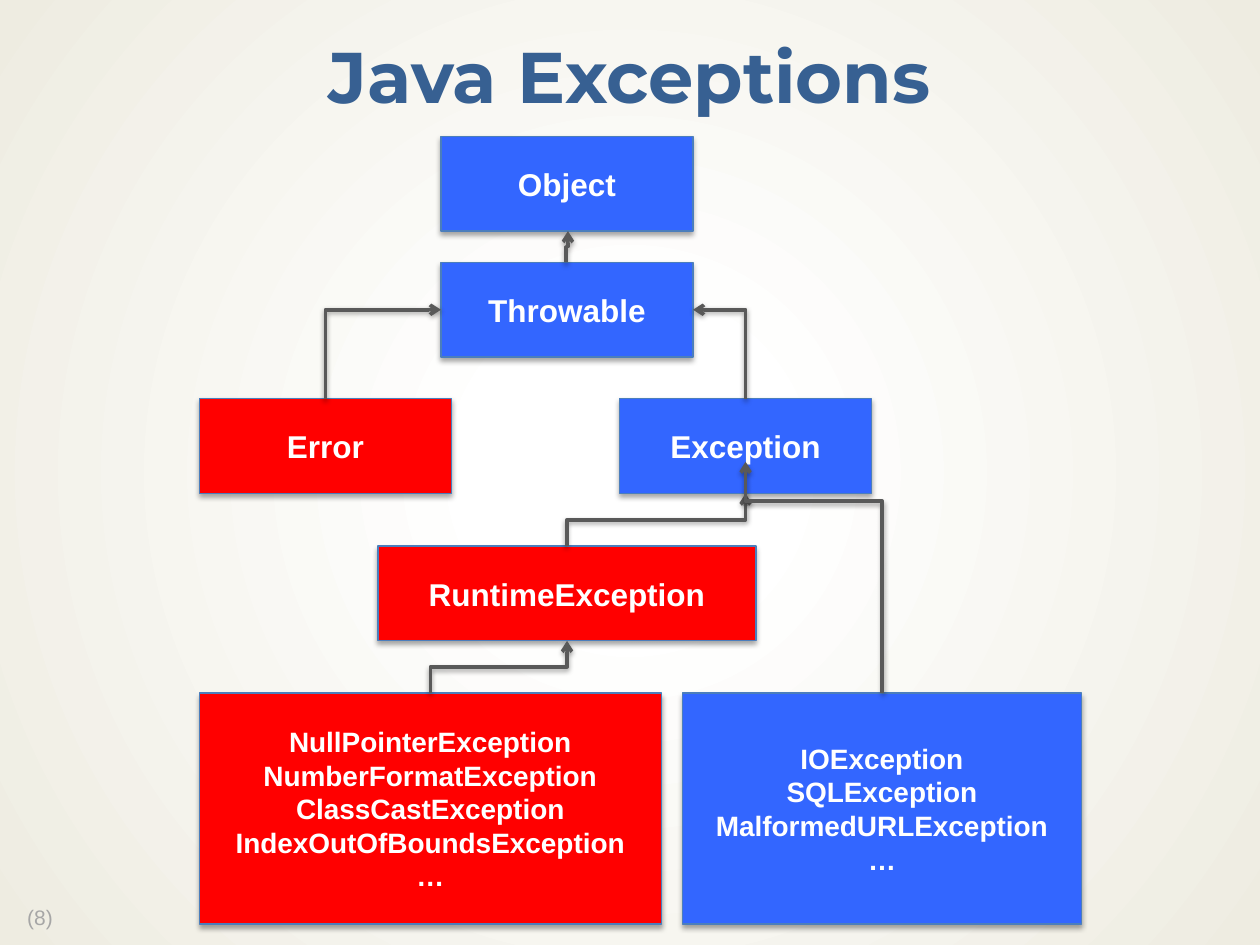
from dataclasses import dataclass
from typing import Any

from lxml import etree
from pptx import Presentation
from pptx.dml.color import RGBColor
from pptx.enum.shapes import MSO_CONNECTOR as Conn, MSO_SHAPE as Shp
from pptx.enum.text import MSO_ANCHOR as Anchor, PP_ALIGN as Align
from pptx.oxml import parse_xml
from pptx.oxml.ns import nsdecls, qn
from pptx.util import Cm, Pt


@dataclass(frozen=True)
class Theme:
    title: str = "376092"
    blue: str = "3366FF"
    red: str = "FF0000"
    edge: str = "4B7EBC"
    link: str = "595959"
    text: str = "FFFFFF"
    number: str = "A6A6A6"
    glow: str = "FFFFFF"
    rim: str = "EEECE1"
    head_font: str = "Montserrat"
    body_font: str = "Arial"
    title_pt: int = 41
    class_pt: int = 18
    list_pt: int = 16
    number_pt: int = 12


@dataclass(frozen=True)
class Box:
    lines: tuple[str, ...]
    x: float
    y: float
    color: str
    w: float = 5.08
    h: float = 1.91
    size: int = 18

    @property
    def mid(self) -> float:
        return self.x + self.w / 2


@dataclass(frozen=True)
class Link:
    child: Box
    parent: Box
    side: str = "bottom"
    bend: float = 0.5   # share of the climb made before turning
    reach: float = 0    # how far the tip enters the parent
    jog: float = 0      # sideways step between aligned boxes


T = Theme()

# Class tree, lengths in cm
LEFT, ROW3, ROW5 = 4.02, 8.04, 13.97
OBJECT = Box(("Object",), 8.89, 2.75, T.blue)
THROWABLE = Box(("Throwable",), 8.89, 5.29, T.blue)
ERROR = Box(("Error",), LEFT, ROW3, T.red)
EXCEPTION = Box(("Exception",), 12.49, ROW3, T.blue)
RUNTIME = Box(("RuntimeException",), 7.62, 11.01, T.red, w=7.62)
UNCHECKED = Box(("NullPointerException", "NumberFormatException", "ClassCastException",
                 "IndexOutOfBoundsException", "…"),
                LEFT, ROW5, T.red, 9.31, 4.66, T.list_pt)
CHECKED = Box(("IOException", "SQLException", "MalformedURLException", "…"),
              13.76, ROW5, T.blue, 8.04, 4.66, T.list_pt)
BOXES = (THROWABLE, EXCEPTION, CHECKED, ERROR, RUNTIME, UNCHECKED, OBJECT)
LINKS = (
    Link(ERROR, THROWABLE, "left"),
    Link(EXCEPTION, THROWABLE, "right"),
    Link(RUNTIME, EXCEPTION),
    Link(UNCHECKED, RUNTIME),
    Link(CHECKED, EXCEPTION, bend=0.83, reach=0.64),
    Link(THROWABLE, OBJECT, jog=0.04),
)


def rgb(color: str) -> RGBColor:
    return RGBColor.from_string(color)


def set_all(obj: Any, values: dict[str, Any]) -> None:
    for name, value in values.items():
        setattr(obj, name, value)


def write(tf: Any, lines: tuple[str, ...], font: dict[str, Any], color: str,
          para: dict[str, Any]) -> None:
    for i, line in enumerate(lines):
        p = tf.paragraphs[0] if i == 0 else tf.add_paragraph()
        set_all(p, para)
        r = p.add_run()
        r.text = line
        set_all(r.font, font)
        r.font.color.rgb = rgb(color)


def add_shadow(sp_pr: Any, alpha: int, dist: float) -> None:
    for old in sp_pr.findall(qn("a:effectLst")):
        sp_pr.remove(old)
    sp_pr.append(parse_xml(
        f'<a:effectLst {nsdecls("a")}><a:outerShdw blurRad="{Pt(3.1)}" dist="{Pt(dist)}" '
        f'dir="5400000" rotWithShape="0"><a:srgbClr val="000000">'
        f'<a:alpha val="{alpha * 1000}"/></a:srgbClr></a:outerShdw></a:effectLst>'))


def add_background(s: Any) -> None:
    s._element.cSld.insert(0, parse_xml(
        f'<p:bg {nsdecls("p", "a")}><p:bgPr><a:gradFill rotWithShape="1"><a:gsLst>'
        f'<a:gs pos="18000"><a:srgbClr val="{T.glow}"><a:alpha val="53000"/></a:srgbClr></a:gs>'
        f'<a:gs pos="100000"><a:srgbClr val="{T.rim}"/></a:gs></a:gsLst>'
        '<a:path path="circle"><a:fillToRect l="50000" t="50000" r="50000" b="50000"/>'
        '</a:path></a:gradFill><a:effectLst/></p:bgPr></p:bg>'))


def add_label(s: Any, text: str, at: tuple[float, ...], frame: dict[str, Any],
              font: dict[str, Any], color: str, align: Align) -> None:
    tf = s.shapes.add_textbox(*map(Cm, at)).text_frame
    set_all(tf, {"word_wrap": True, **frame})
    write(tf, (text,), font, color, {"alignment": align, "line_spacing": 0.9})


def add_box(s: Any, box: Box) -> None:
    sp = s.shapes.add_shape(Shp.RECTANGLE, Cm(box.x), Cm(box.y), Cm(box.w), Cm(box.h))
    sp.fill.solid()
    sp.fill.fore_color.rgb = rgb(box.color)
    sp.line.color.rgb = rgb(T.edge)
    sp.line.width = Pt(0.75)
    sp.shadow.inherit = False
    add_shadow(sp._element.spPr, 35, 1.8)
    set_all(sp.text_frame, {"vertical_anchor": Anchor.MIDDLE, "word_wrap": True})
    write(sp.text_frame, box.lines, {"name": T.body_font, "size": Pt(box.size), "bold": True},
          T.text, {"alignment": Align.CENTER})


def add_link(s: Any, link: Link) -> None:
    parent = link.parent
    x1, y1 = link.child.mid - link.jog / 2, link.child.y
    bottom = (parent.mid + link.jog / 2, parent.y + parent.h - link.reach)
    middle = parent.y + parent.h / 2
    x2, y2 = {"bottom": bottom, "left": (parent.x, middle),
              "right": (parent.x + parent.w, middle)}[link.side]

    # The elbow leaves upwards, so its frame is turned a quarter
    w, h = y1 - y2, abs(x2 - x1)
    x, y = (x1 + x2 - w) / 2, (y1 + y2 - h) / 2
    c = s.shapes.add_connector(Conn.ELBOW, Cm(x), Cm(y), Cm(x + w), Cm(y + h))
    sp_pr = c._element.spPr
    turn = {"rot": "5400000", "flipH": "1"} if x2 > x1 else {"rot": "16200000"}
    for name, value in {**turn, "flipV": "1"}.items():
        sp_pr.find(qn("a:xfrm")).set(name, value)

    geom = sp_pr.find(qn("a:prstGeom"))
    if link.side != "bottom":
        geom.set("prst", "bentConnector2")
    elif link.bend != 0.5:
        guides = geom.find(qn("a:avLst"))
        etree.SubElement(guides, qn("a:gd"), name="adj1", fmla=f"val {round(link.bend * 100000)}")

    c.line.color.rgb = rgb(T.link)
    c.line.width = Pt(2)
    etree.SubElement(c.line._get_or_add_ln(), qn("a:tailEnd"), type="arrow")
    add_shadow(sp_pr, 38, 1.6)


def main() -> None:
    prs = Presentation()
    prs.slide_width, prs.slide_height = Cm(25.4), Cm(19.05)
    s = prs.slides.add_slide(prs.slide_layouts[6])
    add_background(s)

    # Slide number and title
    add_label(s, "(8)", (0.18, 18.16, 1.42, 0.71), {"margin_left": Cm(0.37)},
              {"name": T.body_font, "size": Pt(T.number_pt)}, T.number, Align.LEFT)
    add_label(s, "Java Exceptions", (0, 0.43, 25.4, 2.39), {"vertical_anchor": Anchor.MIDDLE},
              {"name": T.head_font, "size": Pt(T.title_pt), "bold": True}, T.title, Align.CENTER)

    # Class tree
    for box in BOXES:
        add_box(s, box)
    for link in LINKS:
        add_link(s, link)

    prs.save("out.pptx")


if __name__ == "__main__":
    main()
